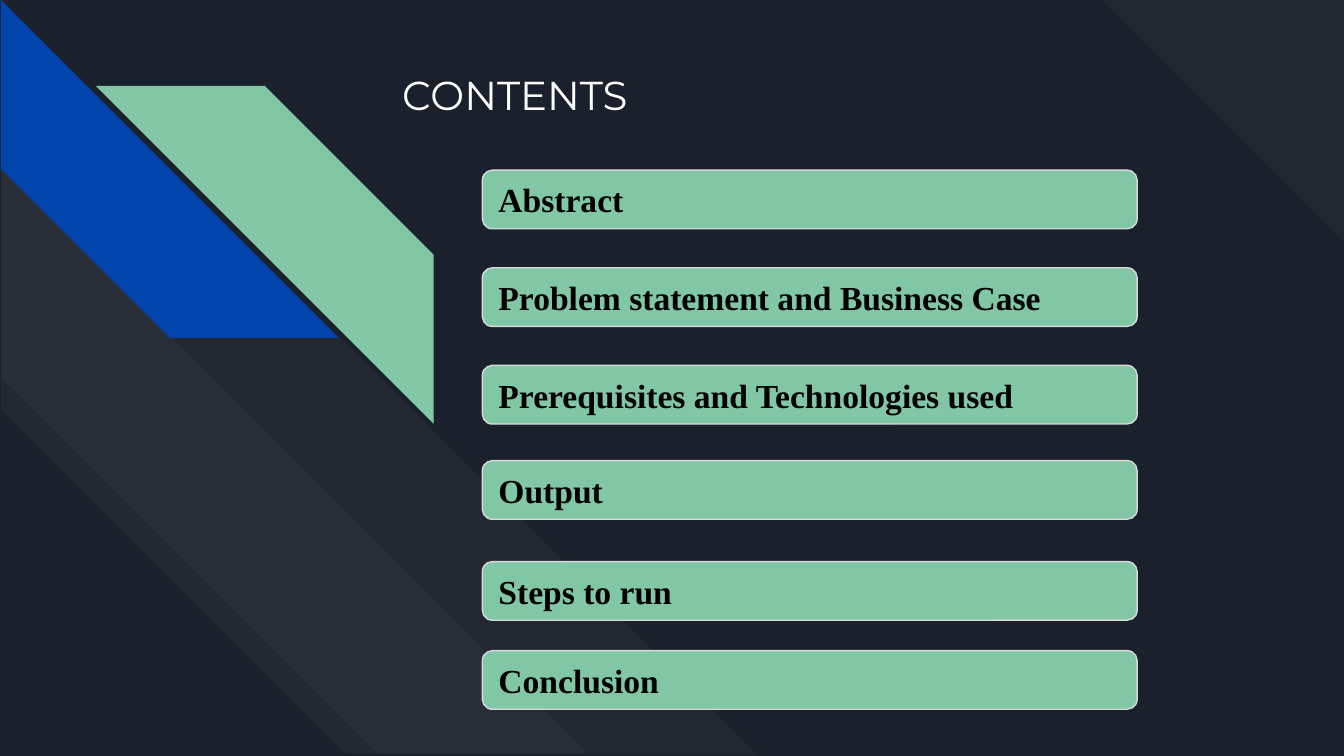
from dataclasses import dataclass

from lxml.etree import SubElement
from pptx import Presentation
from pptx.dml.color import RGBColor
from pptx.enum.shapes import MSO_SHAPE
from pptx.enum.text import MSO_ANCHOR, MSO_AUTO_SIZE, PP_ALIGN
from pptx.oxml.ns import qn
from pptx.util import Pt


@dataclass(frozen=True)
class Theme:
    background: str = "1B212C"
    white: str = "FFFFFF"
    black: str = "000000"
    blue: str = "0145AC"
    green: str = "82C7A5"
    outline: str = "D9D9D9"
    title_font: str = "Montserrat"
    title_size: float = 21.6
    item_font: str = "Times New Roman"
    item_size: float = 18
    inset: float = 7.2


class SlideBuilder:
    def __init__(self, page, theme):
        self.page = page
        self.theme = theme
        fill = page.background.fill
        fill.solid()
        fill.fore_color.rgb = RGBColor.from_string(theme.background)

    def shape(self, kind, left, top, width, height, color, adjustment):
        box = self.page.shapes.add_shape(kind, Pt(left), Pt(top), Pt(width), Pt(height))
        box.adjustments[0] = adjustment
        box.shadow.inherit = False
        box.fill.solid()
        box.fill.fore_color.rgb = RGBColor.from_string(color)
        box.line.fill.background()
        return box

    def stripe(self, left, top, size, color, rotation, adjustment=0.5, opacity=100):
        box = self.shape(MSO_SHAPE.DIAGONAL_STRIPE, left, top, size, size, color, adjustment)
        box.rotation = rotation
        if opacity < 100:
            tint = box.element.spPr.find(qn("a:solidFill"))[0]
            SubElement(tint, qn("a:alpha"), val=str(opacity * 1000))

    def set_text(self, box, text, font, size, color, bold, anchor):
        frame = box.text_frame
        frame.text = text
        frame.word_wrap = True
        frame.auto_size = MSO_AUTO_SIZE.NONE
        frame.vertical_anchor = anchor
        frame.margin_left = frame.margin_right = Pt(self.theme.inset)
        frame.margin_top = frame.margin_bottom = Pt(self.theme.inset)
        para = frame.paragraphs[0]
        para.alignment = PP_ALIGN.LEFT
        para.line_spacing = 1.0
        para.space_before = Pt(0)
        span = para.runs[0]
        span.font.name = font
        span.font.size = Pt(size)
        span.font.bold = bold
        span.font.color.rgb = RGBColor.from_string(color)

    def title(self, text, left, top, width, height):
        box = self.page.shapes.title
        box.left, box.top, box.width, box.height = Pt(left), Pt(top), Pt(width), Pt(height)
        self.set_text(box, text, self.theme.title_font, self.theme.title_size,
                      self.theme.white, False, MSO_ANCHOR.TOP)

    def item(self, text, left, top, width, height):
        box = self.shape(MSO_SHAPE.ROUNDED_RECTANGLE, left, top, width, height,
                         self.theme.green, 0.167)
        box.line.color.rgb = RGBColor.from_string(self.theme.outline)
        box.line.width = Pt(0.75)
        self.set_text(box, text, self.theme.item_font, self.theme.item_size,
                      self.theme.black, True, MSO_ANCHOR.MIDDLE)


def main():
    deck = Presentation()
    deck.slide_width, deck.slide_height = Pt(720), Pt(405)
    theme = Theme()
    page = deck.slides.add_slide(deck.slide_layouts.get_by_name("Title Only"))
    builder = SlideBuilder(page, theme)

    builder.stripe(590.6, 0, 129.4, theme.white, 90, adjustment=0, opacity=3)
    builder.stripe(0.5, -0.7, 405, theme.white, 270, opacity=3)
    builder.stripe(0.5, 89.8, 314, theme.white, 270, adjustment=0.588, opacity=3)
    builder.stripe(0.5, 0, 181, theme.blue, 270)
    builder.stripe(51.3, 46, 181, theme.green, 90)

    builder.title("CONTENTS", 208.2, 30.4, 395.3, 39.6)
    items = {
        "Abstract": 91.2,
        "Problem statement and Business Case": 143.5,
        "Prerequisites and Technologies used": 195.8,
        "Output": 246.8,
        "Steps to run": 300.9,
        "Conclusion": 348.6,
    }
    for text, top in items.items():
        builder.item(text, 258.4, top, 350.8, 31.4)

    deck.save("out.pptx")


if __name__ == "__main__":
    main()
